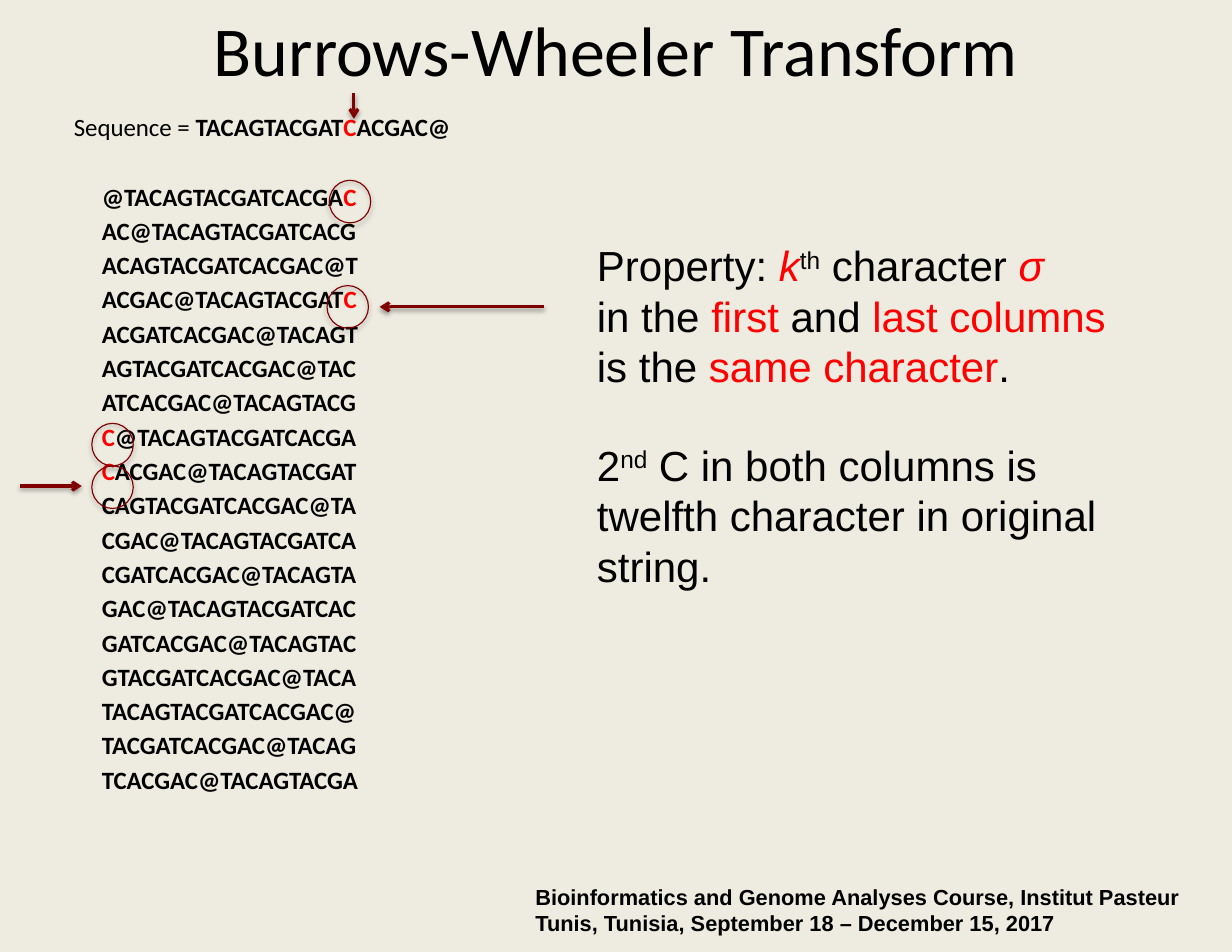
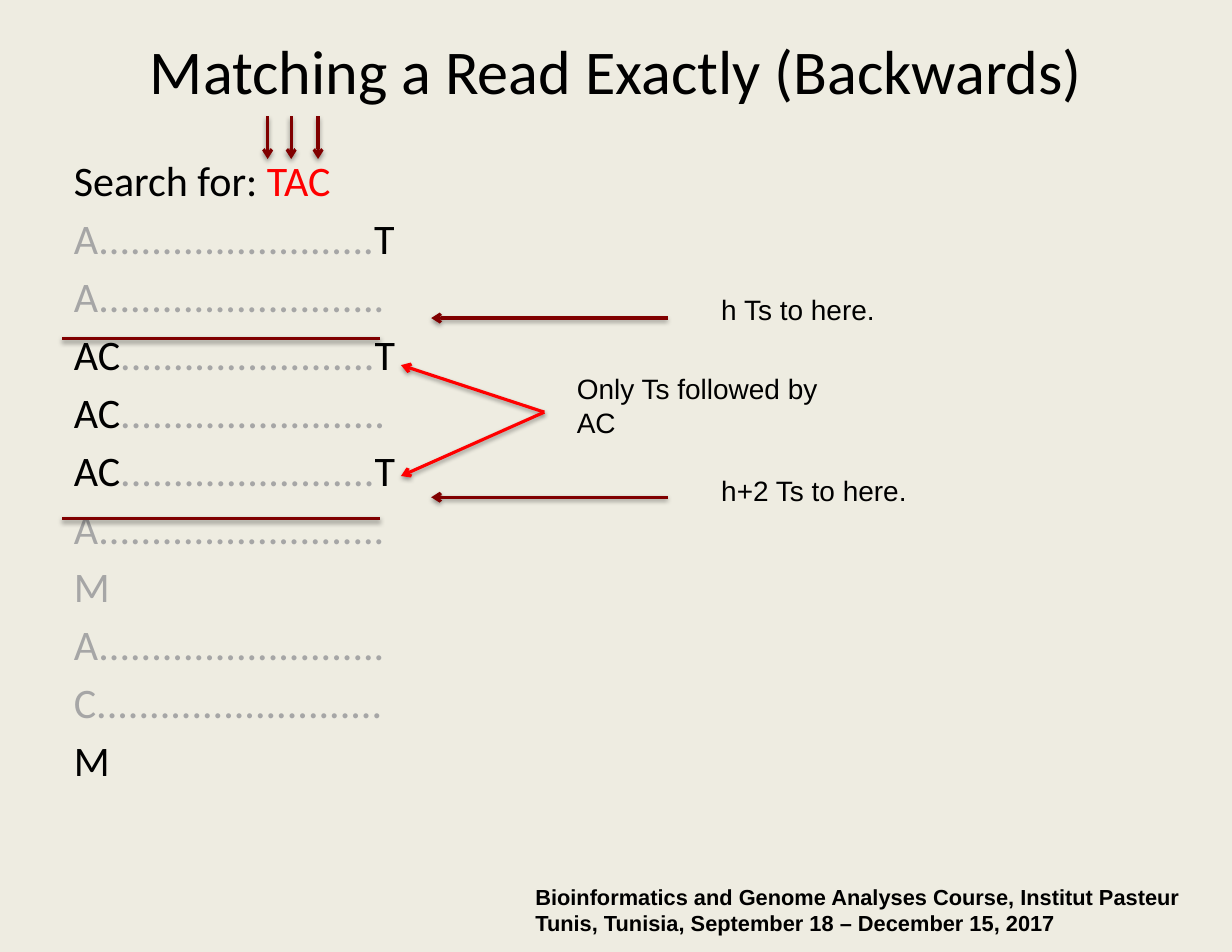
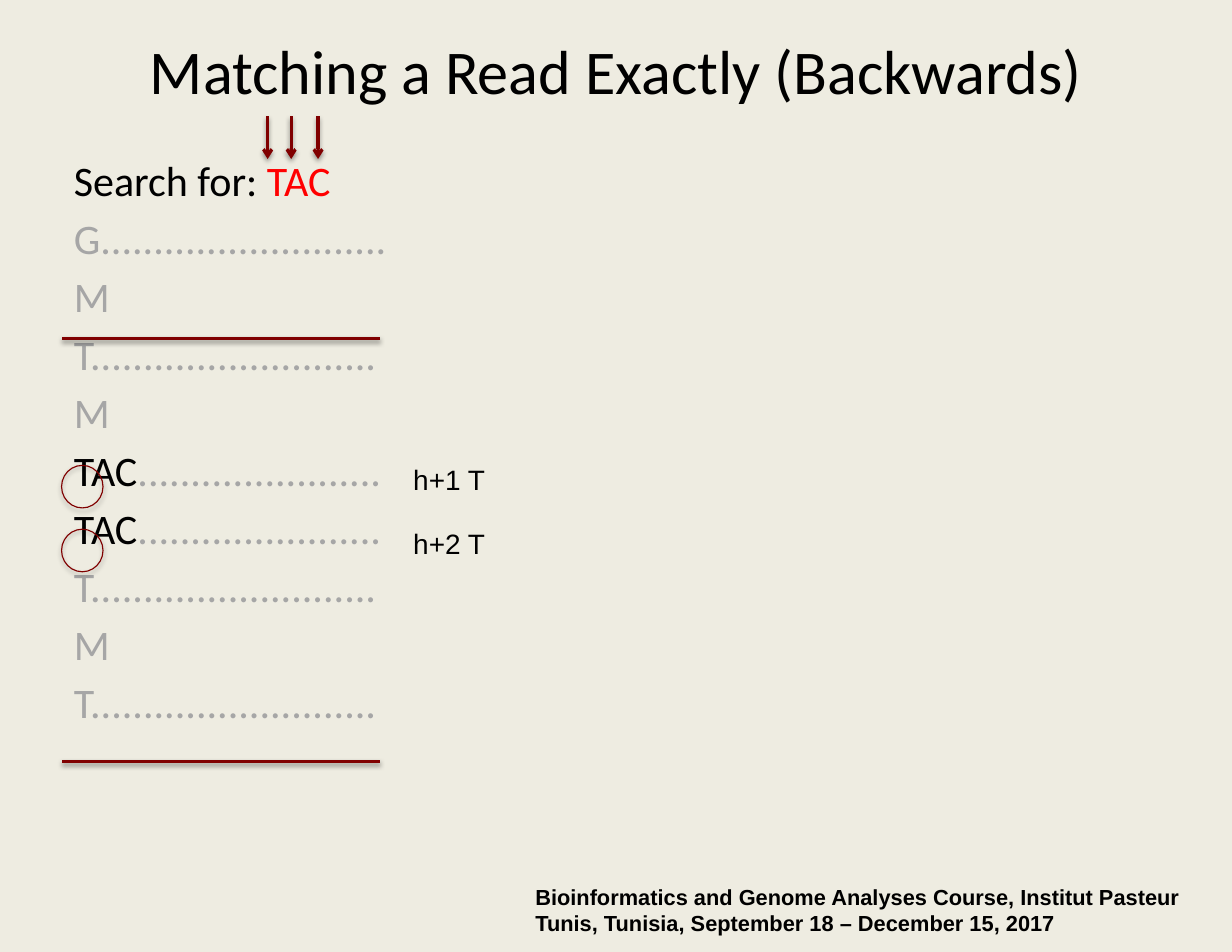
from lxml import etree
from pptx import Presentation
from pptx import util as u
from pptx.dml.color import RGBColor
from pptx.enum import shapes, text
from pptx.oxml.ns import qn

CREAM = RGBColor(0xEE, 0xEC, 0xE1)
BLACK = RGBColor(0, 0, 0)
RED = RGBColor(0xFF, 0, 0)
MAROON = RGBColor(0x80, 0, 0)
GREY = RGBColor(0xA6, 0xA6, 0xA6)

COLS, ROWS = 110, 85
SEQUENCE = "TACAGTACGATCACGAC@"
MARK = 11
FOOTER = [
    ["Bioinformatics and Genome Analyses Course, Institut Pasteur"],
    ["Tunis, Tunisia, September 18 – December 15, 2017"],
]


def red(s, **style):
    return s, dict(color=RED, **style)


def sup(s):
    return s, dict(sup=True)


def grey(s, dots=0):
    return s + "." * dots, dict(color=GREY)


class Deck:
    def __init__(self):
        self.prs = Presentation()
        self.prs.slide_width = u.Inches(11)
        self.prs.slide_height = u.Inches(8.5)
        self.layout = self.prs.slide_layouts[5]
        fill = self.prs.slide_master.background.fill
        fill.solid()
        fill.fore_color.rgb = CREAM
        self.s = None

    def x(self, cols):
        return round(self.prs.slide_width * cols / COLS)

    def y(self, rows):
        return round(self.prs.slide_height * rows / ROWS)

    def box(self, left, top, width, height):
        return self.x(left), self.y(top), self.x(width), self.y(height)

    def slide(self, title, top, size):
        first = self.s is None
        self.s = self.prs.slides.add_slide(self.layout)
        if first:
            self.footer()
        sp = self.s.shapes.title
        sp.left, sp.top, sp.width, sp.height = self.box(5.5, top, 99, 14.2)
        sp.text_frame.vertical_anchor = text.MSO_ANCHOR.MIDDLE
        self.fill_text(sp.text_frame, [[title]], size, "Calibri")
        sp.text_frame.paragraphs[0].alignment = text.PP_ALIGN.CENTER

    def footer(self):
        sp = self.text((46.7, 78.3, 63.3, 6), FOOTER, 14, bold=True)
        sp.element.nvSpPr.cNvPr.set("id", "20")
        self.prs.slide_master.shapes.element.append(sp.element)

    def fill_text(self, tf, lines, size, face, gap=0, bold=False):
        tf.word_wrap = True
        tf.margin_left = tf.margin_right = u.Inches(0.11)
        tf.margin_top = tf.margin_bottom = u.Inches(0.06)
        for i, line in enumerate(lines):
            p = tf.add_paragraph() if i else tf.paragraphs[0]
            p.space_before = u.Pt(gap if i else 0)
            p.font.size = u.Pt(size)
            p.font.name = face
            p.font.bold = bold
            p.font.color.rgb = BLACK
            for item in line:
                self.add_words(p, *(item if isinstance(item, tuple) else (item, {})))

    def add_words(self, p, words, style):
        r = p.add_run()
        r.text = words
        if "color" in style:
            r.font.color.rgb = style["color"]
        if "italic" in style:
            r.font.italic = style["italic"]
        if "bold" in style:
            r.font.bold = style["bold"]
        if "sup" in style:
            r._r.get_or_add_rPr().set("baseline", "30000")

    def text(self, place, lines, size=18, face="Arial", gap=0, bold=False):
        sp = self.s.shapes.add_textbox(*self.box(*place))
        self.fill_text(sp.text_frame, lines, size, face, gap, bold)
        return sp

    def body(self, lines):
        self.text((5.5, 13.2, 99, 56.1), lines, 27, "Calibri", gap=4.87)

    def shadow(self, sp, opacity, distance):
        effects = etree.SubElement(sp.element.spPr, qn("a:effectLst"))
        outer = etree.SubElement(
            effects, qn("a:outerShdw"), blurRad=str(u.Pt(3.1)),
            dist=str(u.Pt(distance)), dir="5400000", rotWithShape="0")
        color = etree.SubElement(outer, qn("a:srgbClr"), val=str(BLACK))
        etree.SubElement(color, qn("a:alpha"), val=str(opacity * 1000))

    def line(self, x1, y1, x2, y2, color=MAROON, arrow=False):
        sp = self.s.shapes.add_connector(
            shapes.MSO_CONNECTOR.STRAIGHT,
            self.x(x1), self.y(y1), self.x(x2), self.y(y2))
        sp.line.color.rgb = color
        sp.line.width = u.Pt(2)
        if arrow:
            ln = sp.element.spPr.find(qn("a:ln"))
            etree.SubElement(ln, qn("a:tailEnd"), type="arrow")
        self.shadow(sp, 38, 1.6)

    def arrow(self, x1, y1, x2, y2, color=MAROON):
        self.line(x1, y1, x2, y2, color, arrow=True)

    def rule(self, row):
        self.line(33.9, row, 5.5, row)

    def ring(self, left, top):
        sp = self.s.shapes.add_shape(
            shapes.MSO_SHAPE.OVAL, *self.box(left, top, 3.7, 3.8))
        sp.fill.background()
        sp.line.color.rgb = MAROON
        sp.line.width = u.Pt(0.75)
        self.shadow(sp, 35, 1.8)

    def search(self, rows):
        self.slide("Matching a Read Exactly (Backwards)", -0.9, 40)
        self.body([["Search for: ", red("TAC")]] + rows)
        for col in (23.9, 26, 28.4):
            self.arrow(col, 10.4, col, 14.2)


def rotation_lines():
    rotations = sorted(SEQUENCE[i:] + SEQUENCE[:i] for i in range(len(SEQUENCE)))
    starts = [w for w in rotations if w[0] == "C"][:2]
    ends = [w for w in rotations if w[-1] == "C"][:2]
    lines = []
    for w in rotations:
        if w in starts:
            lines.append([red(w[0]), w[1:]])
        elif w in ends:
            lines.append([w[:-1], red(w[-1])])
        else:
            lines.append([w])
    return lines


def transform_slide(d):
    d.slide("Burrows-Wheeler Transform", -2.8, 45)
    heading = [("Sequence = ", dict(bold=False)), SEQUENCE[:MARK],
               red(SEQUENCE[MARK]), SEQUENCE[MARK + 1:]]
    sp = d.text((5.5, 9.4, 99, 63.3), [heading] + rotation_lines(),
                16, "Calibri", gap=2.87, bold=True)
    rows = sp.text_frame.paragraphs[1:]
    rows[0].space_before = u.Pt(25.3)
    for p in rows:
        p._p.get_or_add_pPr().set("marL", str(d.x(2.5)))
    d.arrow(48.6, 27.4, 33.9, 27.4)
    d.arrow(1.8, 43.4, 7.3, 43.4)
    sp = d.text((52.2, 20.8, 47.7, 32.9), [
        ["Property: ", red("k", italic=True), sup("th"), " character ",
         red("σ", italic=True)],
        ["in the ", red("first"), " and ", red("last columns"), " is the ",
         red("same character"), "."],
        ["2", sup("nd"),
         " C in both columns is twelfth character in original string."],
    ], 27)
    sp.text_frame.paragraphs[2].space_before = u.Pt(31)
    for left, top in ((8.2, 37.8), (29.2, 25.5), (29.4, 16.1), (8.2, 41.6)):
        d.ring(left, top)
    d.arrow(31.6, 8.3, 31.6, 10.6)


def ac_slide(d):
    partial = [grey("A", 27)]
    match = ["AC", grey("", 24), "T"]
    d.search([
        [grey("A", 26), "T"], partial, match, ["AC", grey("", 25)], match,
        partial, [grey("M")], partial, [grey("C", 27)], ["M"],
    ])
    d.rule(30.2)
    d.rule(46.3)
    d.text((50.4, 32.6, 23.8, 7.2), [["Only Ts followed by AC"]])
    for label, top, row in (("h Ts to here.", 25.5, 28.4),
                            ("h+2 Ts to here.", 41.7, 44.4)):
        d.arrow(59.6, row, 38.5, row)
        d.text((63.3, top, 26.6, 4.2), [[label]])
    for row in (32.6, 42.5):
        d.arrow(48.6, 36.8, 35.8, row, RED)


def tac_slide(d):
    gap, partial = [grey("M")], [grey("T", 27)]
    match = ["TAC", grey("", 23)]
    d.search([[grey("G", 27)], gap, partial, gap, match, match,
              partial, gap, partial])
    d.rule(30.2)
    d.rule(68)
    for label, top in (("h+1 T", 40.7), ("h+2 T", 46.4)):
        d.text((35.8, top, 26.6, 4.2), [[label]])
        d.ring(5.5, top + 0.85)


def main():
    d = Deck()
    transform_slide(d)
    ac_slide(d)
    tac_slide(d)
    d.prs.save("out.pptx")


if __name__ == "__main__":
    main()
